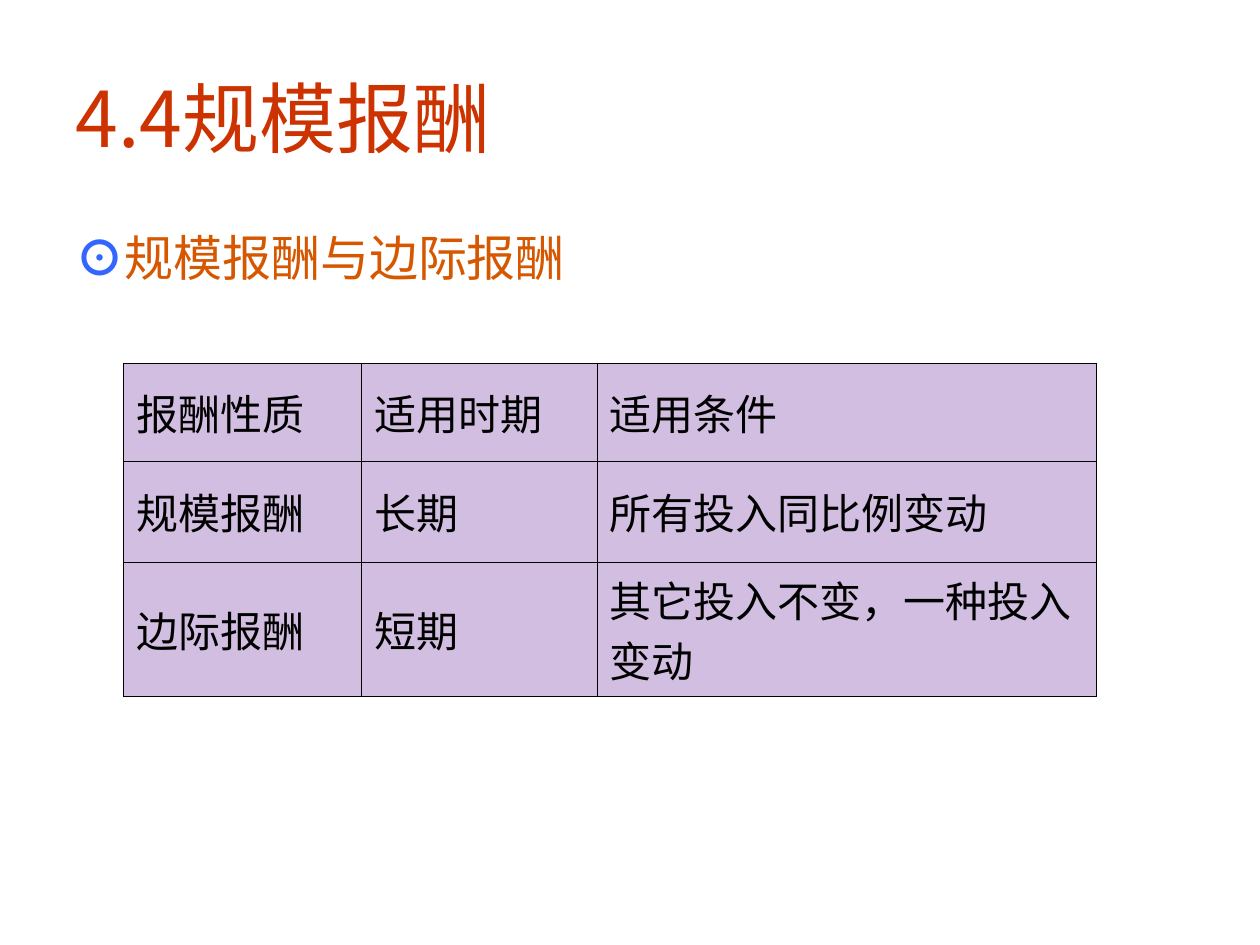
"""Build the slide comparing returns to scale with marginal returns."""
from dataclasses import dataclass
from typing import NamedTuple

from lxml import etree
from pptx import Presentation
from pptx.dml.color import RGBColor
from pptx.enum.text import MSO_ANCHOR, MSO_AUTO_SIZE, PP_ALIGN
from pptx.oxml.ns import qn
from pptx.util import Cm, Pt

MIDDLE, TOP = MSO_ANCHOR.MIDDLE, MSO_ANCHOR.TOP
LEFT = PP_ALIGN.LEFT
NO_FIT = MSO_AUTO_SIZE.NONE


@dataclass(frozen=True)
class Theme:
    """Colours, fonts and type sizes of the slide."""
    title: str = "CC3300"
    marker: str = "3366FF"
    body: str = "D65700"
    ink: str = "000000"
    cell: str = "D1BEE0"
    latin: str = "Arial"
    chinese: str = "Noto Sans CJK SC"
    title_size: float = 44
    body_size: float = 28
    table_size: float = 24
    border: float = 0.45


class Area(NamedTuple):
    """Position and size in centimetres."""
    left: float
    top: float
    width: float
    height: float


class Span(NamedTuple):
    """A stretch of text with one look."""
    text: str
    size: float
    colour: str
    font: str
    bold: bool = False


THEME = Theme()
TITLE_AREA = Area(1.27, 0.76, 22.86, 3.18)
BODY_AREA = Area(1.27, 4.45, 11.23, 12.57)
HANGING = 0.97
COLUMNS = (4.8, 4.75, 10.06)
ROWS = (1.98, 2.03, 2.59)
TABLE_AREA = Area(2.49, 7.32, sum(COLUMNS), sum(ROWS))
TABLE_TEXT = (
    ("报酬性质", "适用时期", "适用条件"),
    ("规模报酬", "长期", "所有投入同比例变动"),
    ("边际报酬", "短期", "其它投入不变，一种投入变动"),
)


def set_values(target: object, values: dict) -> None:
    """Set each named attribute of the target."""
    for name, value in values.items():
        setattr(target, name, value)


def place(shape, area: Area) -> None:
    """Move and size a shape."""
    set_values(shape, {name: Cm(value) for name, value in area._asdict().items()})


def write(para, spans: list[Span]) -> None:
    """Fill a paragraph with formatted spans."""
    set_values(para, {"alignment": LEFT, "space_before": Pt(0)})
    for span in spans:
        run = para.add_run()
        run.text = span.text
        set_values(run.font, {"size": Pt(span.size), "bold": span.bold, "name": span.font})
        run.font.color.rgb = RGBColor.from_string(span.colour)
        east_asian = etree.Element(qn("a:ea"), typeface=THEME.chinese)
        run.font._element.find(qn("a:latin")).addnext(east_asian)


def fill_placeholder(box, area: Area, anchor: MSO_ANCHOR, spans: list[Span]) -> None:
    """Place a template placeholder and write its text."""
    place(box, area)
    set_values(box.text_frame, {"auto_size": NO_FIT, "word_wrap": True, "vertical_anchor": anchor})
    write(box.text_frame.paragraphs[0], spans)


def hang(para, indent: float) -> None:
    """Give a paragraph a hanging indent without an automatic bullet."""
    properties = para._p.get_or_add_pPr()
    properties.set("marL", str(Cm(indent)))
    properties.set("indent", str(-Cm(indent)))
    etree.SubElement(properties, qn("a:buNone"))


def draw_borders(cell) -> None:
    """Draw a thin line on all four sides of a cell."""
    properties = cell._tc.get_or_add_tcPr()
    for side in ("lnL", "lnR", "lnT", "lnB"):
        line = etree.SubElement(properties, qn(f"a:{side}"), w=str(Pt(THEME.border)))
        fill = etree.SubElement(line, qn("a:solidFill"))
        etree.SubElement(fill, qn("a:srgbClr"), val=THEME.ink)


def add_comparison(page) -> None:
    """Add the table of returns, periods and conditions."""
    lengths = [Cm(value) for value in TABLE_AREA]
    table = page.shapes.add_table(len(ROWS), len(COLUMNS), *lengths).table
    set_values(table, {"first_row": False, "horz_banding": False})
    for column, width in zip(table.columns, COLUMNS):
        column.width = Cm(width)
    for row, height, texts in zip(table.rows, ROWS, TABLE_TEXT):
        row.height = Cm(height)
        for cell, text in zip(row.cells, texts):
            draw_borders(cell)
            cell.fill.solid()
            cell.fill.fore_color.rgb = RGBColor.from_string(THEME.cell)
            cell.vertical_anchor = MIDDLE
            span = Span(text, THEME.table_size, THEME.ink, THEME.latin)
            write(cell.text_frame.paragraphs[0], [span])


def main() -> None:
    """Build and save the deck."""
    deck = Presentation()
    set_values(deck, {"slide_width": Cm(25.4), "slide_height": Cm(19.05)})
    page = deck.slides.add_slide(deck.slide_layouts[1])
    title, body = page.placeholders
    fill_placeholder(title, TITLE_AREA, MIDDLE, [
        Span("4.4规模报酬", THEME.title_size, THEME.title, THEME.chinese),
    ])
    hang(body.text_frame.paragraphs[0], HANGING)
    fill_placeholder(body, BODY_AREA, TOP, [
        Span("⊙", THEME.body_size, THEME.marker, THEME.chinese, True),
        Span("规模报酬与边际报酬", THEME.body_size, THEME.body, THEME.latin),
    ])
    add_comparison(page)
    deck.save("out.pptx")


if __name__ == "__main__":
    main()
